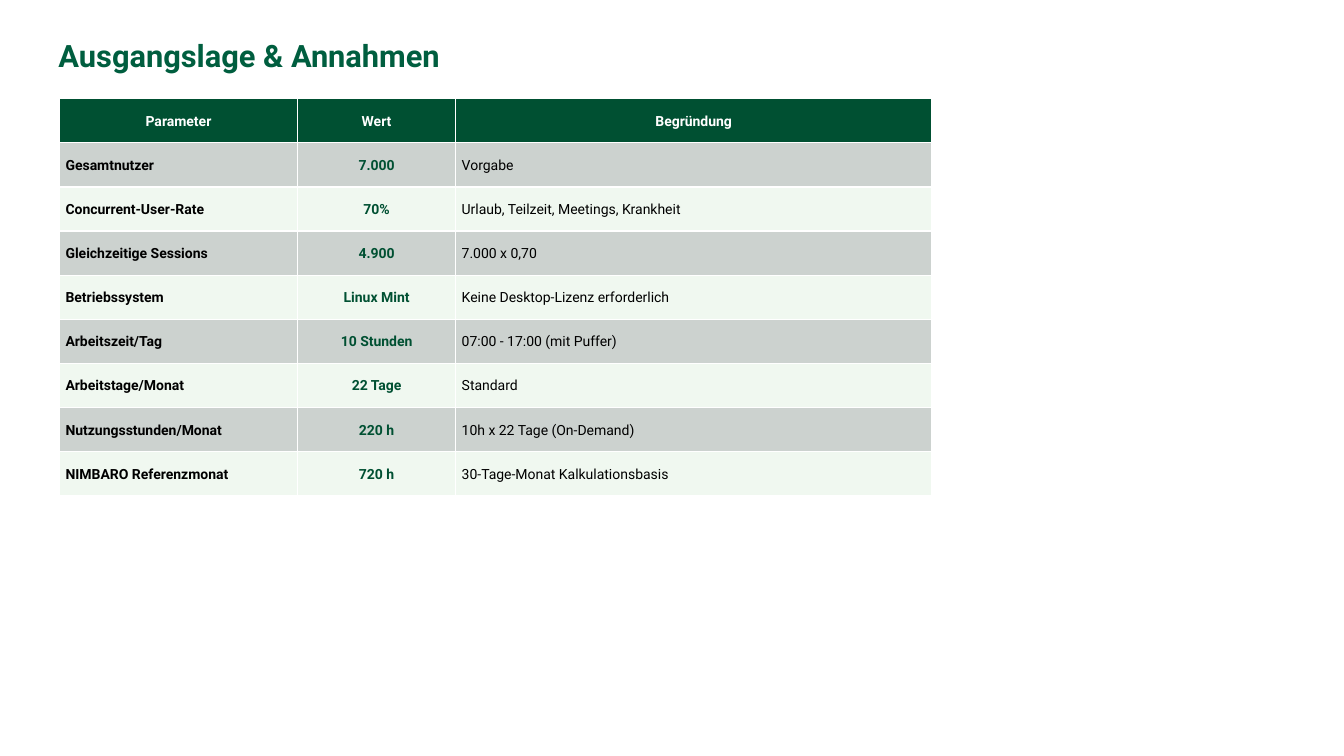
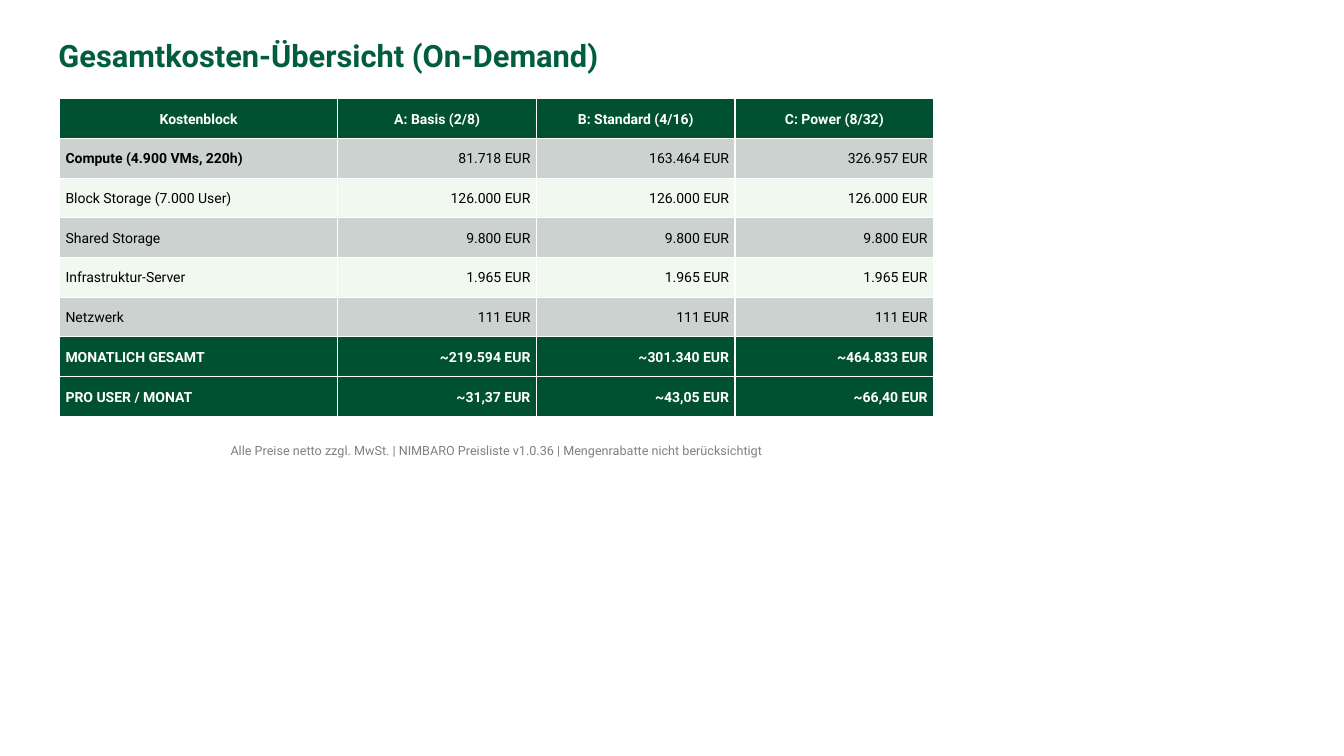
from pptx import Presentation
from pptx.dml.color import RGBColor
from pptx.enum.text import MSO_ANCHOR, MSO_AUTO_SIZE, PP_ALIGN
from pptx.util import Inches, Pt

LEFT, CENTER, RIGHT = PP_ALIGN.LEFT, PP_ALIGN.CENTER, PP_ALIGN.RIGHT
TOP, MIDDLE = MSO_ANCHOR.TOP, MSO_ANCHOR.MIDDLE
NO_AUTOSIZE, GROW = MSO_AUTO_SIZE.NONE, MSO_AUTO_SIZE.SHAPE_TO_FIT_TEXT

FONT = "Roboto"
TITLE_GREEN, GREEN = "005E3F", "005032"
BANDS = ["CCD2CF", "F0F8F0"]
BLACK, WHITE, GRAY = "000000", "FFFFFF", "808080"
TITLE_ONLY = 5
TABLE_LEFT, TABLE_TOP, TABLE_WIDTH = 0.59, 0.98, 8.66


def write_text(text_frame, text, size=10, color=BLACK, bold=False, align=LEFT, spacing=1.1):
    paragraph = text_frame.paragraphs[0]
    paragraph.text = text
    paragraph.alignment = align
    paragraph.line_spacing = spacing
    paragraph.font.name = FONT
    paragraph.font.size = Pt(size)
    paragraph.font.bold = bold
    paragraph.font.color.rgb = RGBColor.from_string(color)


def add_table_slide(title_text, rows, column_widths, height, column_formats, bold_labels=(), total_labels=()):
    """Add a titled slide with a banded table; rows named in total_labels look like the header."""
    slide = presentation.slides.add_slide(layout)
    title = slide.shapes.title
    write_text(title.text_frame, title_text, size=22, color=TITLE_GREEN, bold=True, spacing=0.9)

    table = slide.shapes.add_table(
        len(rows), len(column_widths),
        Inches(TABLE_LEFT), Inches(TABLE_TOP), Inches(TABLE_WIDTH), Inches(height)).table
    table.horz_banding = False
    for column, width in zip(table.columns, column_widths):
        column.width = Inches(width)

    for row_index, row in enumerate(rows):
        is_header = row_index == 0
        is_dark = is_header or row[0] in total_labels
        fill_color = GREEN if is_dark else BANDS[(row_index - 1) % 2]
        for column_index, text in enumerate(row):
            text_format = dict(column_formats[column_index])
            if is_header:
                text_format["align"] = CENTER
            if is_dark:
                text_format.update(color=WHITE, bold=True)
            if text in bold_labels:
                text_format["bold"] = True
            cell = table.cell(row_index, column_index)
            cell.fill.solid()
            cell.fill.fore_color.rgb = RGBColor.from_string(fill_color)
            cell.vertical_anchor = MIDDLE
            cell.margin_left = cell.margin_right = Inches(0.06)
            cell.margin_top = cell.margin_bottom = Inches(0.02)
            write_text(cell.text_frame, text, **text_format)
    return slide


presentation = Presentation()
presentation.slide_width = Inches(13.33)
presentation.slide_height = Inches(7.5)

# Title position shared through the layout
layout = presentation.slide_layouts[TITLE_ONLY]
layout_title = layout.placeholders[0]
layout_title.left, layout_title.top = Inches(0.58), Inches(0.41)
layout_title.width, layout_title.height = Inches(11.02), Inches(0.85)
title_frame = layout_title.text_frame
title_frame.margin_left = title_frame.margin_right = 0
title_frame.margin_top = title_frame.margin_bottom = 0
title_frame.vertical_anchor = TOP
title_frame.auto_size = NO_AUTOSIZE

# Slide 1: assumptions
assumptions = [
    ["Parameter", "Wert", "Begründung"],
    ["Gesamtnutzer", "7.000", "Vorgabe"],
    ["Concurrent-User-Rate", "70%", "Urlaub, Teilzeit, Meetings, Krankheit"],
    ["Gleichzeitige Sessions", "4.900", "7.000 x 0,70"],
    ["Betriebssystem", "Linux Mint", "Keine Desktop-Lizenz erforderlich"],
    ["Arbeitszeit/Tag", "10 Stunden", "07:00 - 17:00 (mit Puffer)"],
    ["Arbeitstage/Monat", "22 Tage", "Standard"],
    ["Nutzungsstunden/Monat", "220 h", "10h x 22 Tage (On-Demand)"],
    ["NIMBARO Referenzmonat", "720 h", "30-Tage-Monat Kalkulationsbasis"],
]
add_table_slide(
    "Ausgangslage & Annahmen", assumptions, [2.36, 1.57, 4.72], 3.94,
    [{"bold": True}, {"bold": True, "color": GREEN, "align": CENTER}, {}])

# Slide 2: total costs
costs = [
    ["Kostenblock", "A: Basis (2/8)", "B: Standard (4/16)", "C: Power (8/32)"],
    ["Compute (4.900 VMs, 220h)", "81.718 EUR", "163.464 EUR", "326.957 EUR"],
    ["Block Storage (7.000 User)"] + ["126.000 EUR"] * 3,
    ["Shared Storage"] + ["9.800 EUR"] * 3,
    ["Infrastruktur-Server"] + ["1.965 EUR"] * 3,
    ["Netzwerk"] + ["111 EUR"] * 3,
    ["MONATLICH GESAMT", "~219.594 EUR", "~301.340 EUR", "~464.833 EUR"],
    ["PRO USER / MONAT", "~31,37 EUR", "~43,05 EUR", "~66,40 EUR"],
]
cost_slide = add_table_slide(
    "Gesamtkosten-Übersicht (On-Demand)", costs, [2.76] + [1.97] * 3, 3.15,
    [{}] + [{"align": RIGHT}] * 3,
    bold_labels=["Compute (4.900 VMs, 220h)"],
    total_labels=["MONATLICH GESAMT", "PRO USER / MONAT"])

price_note = cost_slide.shapes.add_textbox(
    Inches(TABLE_LEFT), Inches(4.33), Inches(TABLE_WIDTH), Inches(0.39)).text_frame
price_note.word_wrap = True
price_note.auto_size = GROW
write_text(
    price_note,
    "Alle Preise netto zzgl. MwSt. | NIMBARO Preisliste v1.0.36 | Mengenrabatte nicht berücksichtigt",
    size=9, color=GRAY, align=CENTER)

presentation.save("out.pptx")
